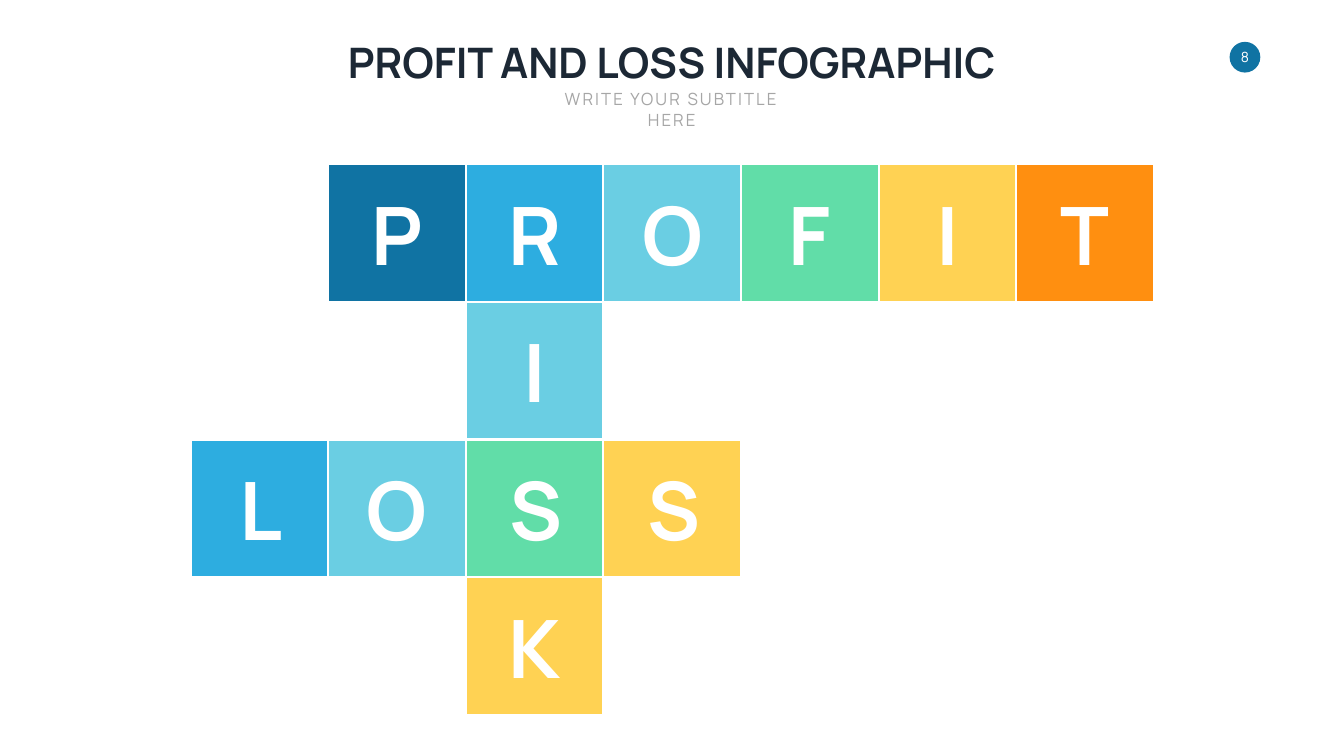
from pptx import Presentation
from pptx.dml.color import RGBColor
from pptx.enum.shapes import MSO_SHAPE as SHAPE
from pptx.enum.text import MSO_ANCHOR as ANCHOR, MSO_AUTO_SIZE as AUTO, PP_ALIGN as ALIGN
from pptx.util import Inches, Pt

WHITE = RGBColor(0xFF, 0xFF, 0xFF)
NAVY = RGBColor(0x1C, 0x28, 0x35)
GREY = RGBColor(0xA6, 0xA6, 0xA6)
DEEP_BLUE = RGBColor(0x10, 0x73, 0xA3)
BLUE = RGBColor(0x2D, 0xAD, 0xE0)
AQUA = RGBColor(0x6A, 0xCE, 0xE3)
GREEN = RGBColor(0x61, 0xDD, 0xA8)
YELLOW = RGBColor(0xFF, 0xD2, 0x53)
ORANGE = RGBColor(0xFF, 0x8F, 0x10)
PALETTE = [DEEP_BLUE, BLUE, AQUA, GREEN, YELLOW, ORANGE]

FONT = "Manrope"
TILE = 2.73
LETTER_HEIGHT = 2.04
LETTER_WIDTHS = {"P": 1.25, "R": 1.25, "O": 1.47, "F": 1.08, "I": 0.68,
                 "T": 1.16, "L": 0.97, "S": 1.19, "K": 1.33}

# word, start column, start row, column step, row step, first palette colour
WORDS = [
    ("PROFIT", 1, 0, 1, 0, 0),
    ("RISK", 2, 0, 0, 1, 1),
    ("LOSS", 0, 2, 1, 0, 1),
]


def add_text(slide, text, box, size, color, bold=False, anchor=ANCHOR.MIDDLE,
             wrap=False, spacing=0, inset=0.1):
    tf = slide.shapes.add_textbox(*map(Inches, box)).text_frame
    frame_format = {
        "word_wrap": wrap, "auto_size": AUTO.SHAPE_TO_FIT_TEXT,
        "vertical_anchor": anchor,
        "margin_left": Inches(inset), "margin_right": Inches(inset),
        "margin_top": Inches(inset / 2), "margin_bottom": Inches(inset / 2),
    }
    for name, value in frame_format.items():
        setattr(tf, name, value)
    p = tf.paragraphs[0]
    p.alignment = ALIGN.CENTER
    r = p.add_run()
    r.text = text
    for name, value in {"name": FONT, "size": Pt(size), "bold": bold}.items():
        setattr(r.font, name, value)
    r.font.color.rgb = color
    if spacing:
        r._r.get_or_add_rPr().set("spc", str(spacing * 100))


def add_block(slide, kind, box, fill, line=None):
    sp = slide.shapes.add_shape(kind, *map(Inches, box))
    sp.shadow.inherit = False
    sp.fill.solid()
    sp.fill.fore_color.rgb = fill
    if line is None:
        sp.line.fill.background()
    else:
        sp.line.color.rgb = line
        sp.line.width = Pt(3)


def centred(box, width, height):
    left, top, w, h = box
    return left + (w - width) / 2, top + (h - height) / 2, width, height


def add_page_number(slide, box, number):
    add_block(slide, SHAPE.OVAL, box, DEEP_BLUE)
    add_text(slide, number, centred(box, 0.41, 0.34), 20, WHITE, inset=0)


def add_header(slide, box):
    left, top, width, height = box
    add_text(slide, "PROFIT AND LOSS INFOGRAPHIC", box, 60, NAVY,
             bold=True, anchor=ANCHOR.TOP)
    subtitle_width = 5.43
    add_text(slide, "WRITE YOUR SUBTITLE HERE",
             (left + (width - subtitle_width) / 2, top + 1.05, subtitle_width, 0.5),
             24, GREY, anchor=ANCHOR.TOP, wrap=True, spacing=3)


def add_crossword(slide, left, top):
    # Crossing words share a cell, so each cell is kept once
    cells = {}
    for word, col, row, col_step, row_step, first in WORDS:
        for i, letter in enumerate(word):
            cell = (col + i * col_step, row + i * row_step)
            cells[cell] = (letter, PALETTE[first + i])
    for (col, row), (letter, color) in cells.items():
        box = (left + col * TILE, top + row * TILE, TILE, TILE)
        add_block(slide, SHAPE.RECTANGLE, box, color, WHITE)
        add_text(slide, letter, centred(box, LETTER_WIDTHS[letter], LETTER_HEIGHT),
                 115, WHITE, bold=True)


def main():
    prs = Presentation()
    prs.slide_width, prs.slide_height = Inches(26.66), Inches(15)
    slide = prs.slides.add_slide(prs.slide_layouts[6])
    add_page_number(slide, (24.39, 0.83, 0.61, 0.61), "8")
    add_crossword(slide, 3.78, 3.26)
    add_header(slide, (6.58, 0.67, 13.49, 1.11))
    prs.save("out.pptx")


if __name__ == "__main__":
    main()
